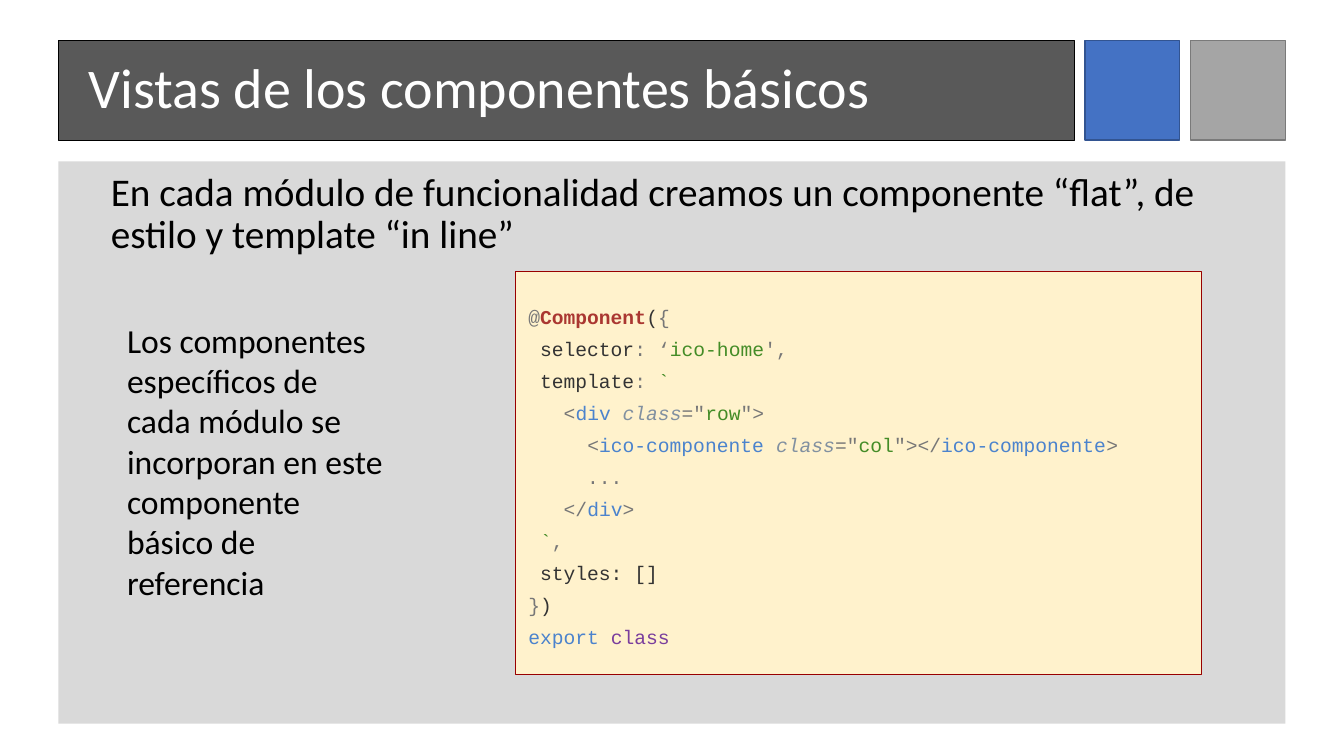
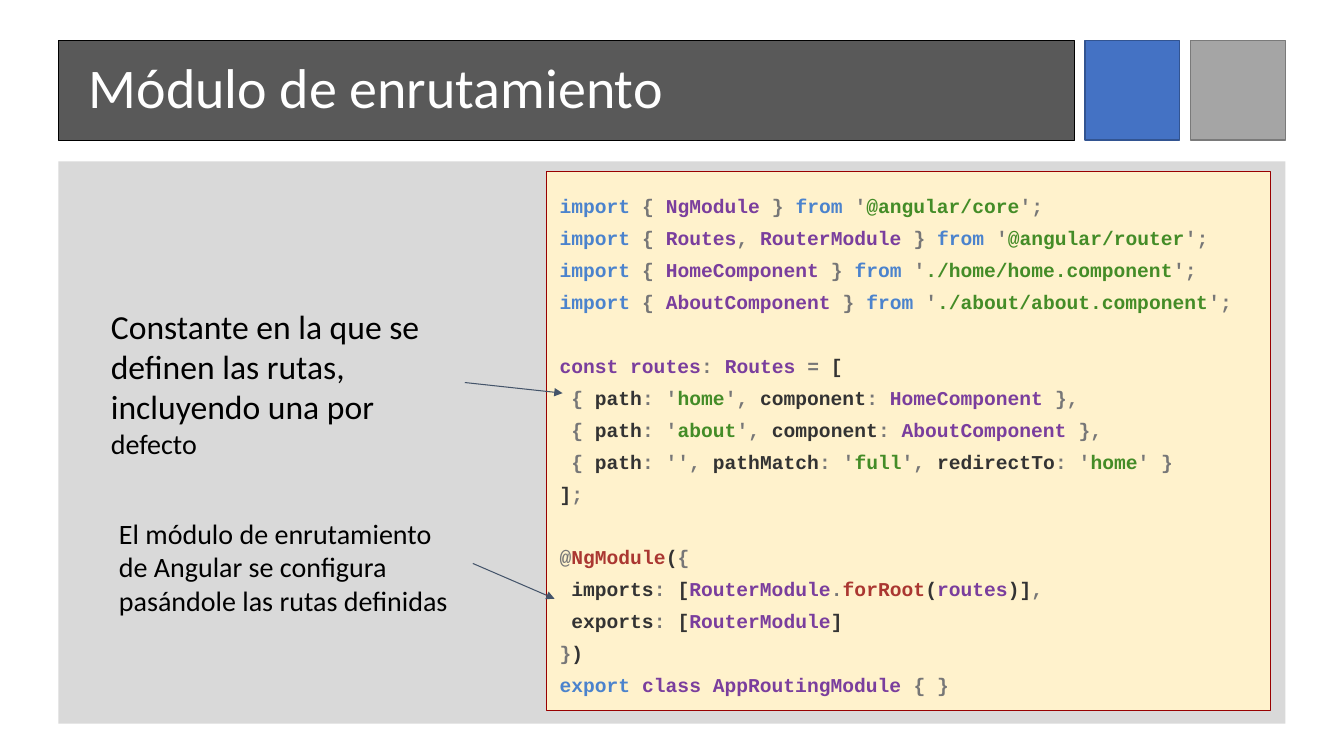
from pptx import Presentation
from pptx.dml.color import RGBColor
from pptx.enum.shapes import MSO_CONNECTOR as Connector, MSO_SHAPE as Shape
from pptx.enum.text import MSO_ANCHOR as Anchor, MSO_AUTO_SIZE as AutoSize, PP_ALIGN as Align
from pptx.oxml.ns import qn
from pptx.util import Inches, Pt
from lxml.etree import SubElement

BLACK = RGBColor(0x00, 0x00, 0x00)
WHITE = RGBColor(0xFF, 0xFF, 0xFF)
TITLE_GREY = RGBColor(0x59, 0x59, 0x59)
PANEL_GREY = RGBColor(0xD9, 0xD9, 0xD9)
ACCENT_BLUE = RGBColor(0x44, 0x72, 0xC4)
ACCENT_BLUE_EDGE = RGBColor(0x32, 0x54, 0x91)
ACCENT_GREY = RGBColor(0xA5, 0xA5, 0xA5)
ACCENT_GREY_EDGE = RGBColor(0x7A, 0x7A, 0x7A)
CODE_CREAM = RGBColor(0xFF, 0xF2, 0xCC)
CODE_EDGE = RGBColor(0x98, 0x00, 0x00)
ARROW_SLATE = RGBColor(0x44, 0x54, 0x6A)

PLAIN = RGBColor(0x33, 0x33, 0x33)
PUNCT = RGBColor(0x77, 0x77, 0x77)
KEYWORD = RGBColor(0x4B, 0x83, 0xCD)
TYPE = RGBColor(0x7A, 0x3E, 0x9D)
STRING = RGBColor(0x44, 0x8C, 0x27)
CALL = RGBColor(0xAA, 0x37, 0x31)
ATTRIBUTE = RGBColor(0x81, 0x90, 0xA0)

TEXT_FONT = "Calibri"
CODE_FONT = "Courier New"
CODE_LINE_GAP = Pt(22.6)


class Deck:
    """Hold the shared style and the slide being built."""

    def __init__(self):
        self.presentation = Presentation()
        self.presentation.slide_width = Inches(13.33)
        self.presentation.slide_height = Inches(7.5)
        self.slide = None

    def add_slide(self, heading):
        layout = self.presentation.slide_layouts[5]
        self.slide = self.presentation.slides.add_slide(layout)
        self.band(11.81, 0.4, 0.94, 0.99, ACCENT_GREY, ACCENT_GREY_EDGE)
        self.band(10.76, 0.4, 0.94, 0.99, ACCENT_BLUE, ACCENT_BLUE_EDGE)
        self.band(0.58, 1.6, 12.17, 5.58, PANEL_GREY)
        self.title(heading)

    def title(self, heading):
        title = self.slide.shapes.title
        title.left, title.top = Inches(0.58), Inches(0.4)
        title.width, title.height = Inches(10.08), Inches(0.99)
        self.paint(title, TITLE_GREY, BLACK, 0.5)
        frame = title.text_frame
        frame.auto_size = AutoSize.NONE
        frame.vertical_anchor = Anchor.MIDDLE
        paragraph = frame.paragraphs[0]
        paragraph.alignment = Align.LEFT
        paragraph.line_spacing = 0.9
        indent = paragraph._p.get_or_add_pPr()
        indent.set("marL", str(Inches(0.2)))
        indent.set("indent", "0")
        self.run(paragraph, heading, 40, WHITE)

    def paint(self, shape, fill, edge=None, weight=1):
        shape.fill.solid()
        shape.fill.fore_color.rgb = fill
        if edge is None:
            shape.line.fill.background()
        else:
            shape.line.color.rgb = edge
            shape.line.width = Pt(weight)

    def band(self, left, top, width, height, fill, edge=None, weight=1):
        band = self.slide.shapes.add_shape(
            Shape.RECTANGLE, Inches(left), Inches(top), Inches(width), Inches(height))
        band.shadow.inherit = False
        self.paint(band, fill, edge, weight)
        return band

    def run(self, paragraph, text, size, color, font=TEXT_FONT):
        run = paragraph.add_run()
        run.text = text
        run.font.name = font
        run.font.size = Pt(size)
        run.font.color.rgb = color
        return run

    def inset(self, frame, margin):
        frame.word_wrap = True
        frame.margin_left = frame.margin_right = Inches(margin)
        frame.margin_top = frame.margin_bottom = Inches(margin)

    def note(self, left, top, width, height, *pieces, margin=0.13, spacing=None):
        note = self.slide.shapes.add_textbox(
            Inches(left), Inches(top), Inches(width), Inches(height))
        self.inset(note.text_frame, margin)
        paragraph = note.text_frame.paragraphs[0]
        paragraph.line_spacing = spacing
        for text, size in pieces:
            self.run(paragraph, text, size, BLACK)
        return note

    def code(self, left, top, width, height, blocks, bold=False):
        listing = self.band(left, top, width, height, CODE_CREAM, CODE_EDGE, 0.75)
        frame = listing.text_frame
        self.inset(frame, 0.13)
        frame.vertical_anchor = Anchor.MIDDLE
        paragraph = None
        for block in blocks:
            for position, tokens in enumerate(block):
                if paragraph is None:
                    paragraph = frame.paragraphs[0]
                else:
                    paragraph = frame.add_paragraph()
                    if position == 0:
                        paragraph.space_before = CODE_LINE_GAP
                paragraph.alignment = Align.LEFT
                paragraph.line_spacing = 1.36
                for text, color in tokens:
                    run = self.run(paragraph, text, 14, color, CODE_FONT)
                    run.font.bold = bold or color == CALL
                    run.font.italic = color == ATTRIBUTE

    def arrow(self, note, end_x, end_y):
        arrow = self.slide.shapes.add_connector(
            Connector.STRAIGHT, note.left + note.width, note.top + note.height // 2,
            Inches(end_x), Inches(end_y))
        arrow.begin_connect(note, 3)
        arrow.line.color.rgb = ARROW_SLATE
        arrow.line.width = Pt(0.75)
        SubElement(arrow.line._get_or_add_ln(), qn("a:tailEnd"), type="triangle")
        SubElement(arrow._element.spPr, qn("a:effectLst"))


def open_tag(indent, tag, css_class):
    return [(indent, PLAIN), ("<", PUNCT), (tag + " ", KEYWORD), ("class", ATTRIBUTE),
            ('="', PUNCT), (css_class, STRING)]


def import_line(source, *names):
    tokens = [("import ", KEYWORD), ("{ ", PUNCT)]
    for name in names[:-1]:
        tokens += [(name, TYPE), (", ", PUNCT)]
    return tokens + [(names[-1] + " ", TYPE), ("} ", PUNCT), ("from ", KEYWORD),
                     ("'", PUNCT), (source, STRING), ("';", PUNCT)]


def route_line(route, component):
    return [(" {", PUNCT), (" path", PLAIN), (": '", PUNCT), (route, STRING), ("',", PUNCT),
            (" component", PLAIN), (": ", PUNCT), (component + " ", TYPE), ("},", PUNCT)]


def decorator_line(name):
    return [("@", PUNCT), (name, CALL), ("(", PLAIN), ("{", PUNCT)]


DECORATOR_END = [("}", PUNCT), (")", PLAIN)]

COMPONENT_CODE = [
    decorator_line("Component"),
    [(" selector", PLAIN), (": ‘", PUNCT), ("ico-home", STRING), ("',", PUNCT)],
    [(" template", PLAIN), (": ", PUNCT), ("`", STRING)],
    open_tag("   ", "div", "row") + [('">', PUNCT)],
    open_tag("     ", "ico-componente", "col")
    + [('"></', PUNCT), ("ico-componente", KEYWORD), (">", PUNCT)],
    [("     ...", PUNCT)],
    [("   </", PUNCT), ("div", KEYWORD), (">", PUNCT)],
    [(" `", STRING), (",", PUNCT)],
    [(" styles: []", PLAIN)],
    DECORATOR_END,
    [("export ", KEYWORD), ("class", TYPE)],
]

IMPORTS_CODE = [
    import_line("@angular/core", "NgModule"),
    import_line("@angular/router", "Routes", "RouterModule"),
    import_line("./home/home.component", "HomeComponent"),
    import_line("./about/about.component", "AboutComponent"),
]

ROUTES_CODE = [
    [("const routes", TYPE), (": ", PUNCT), ("Routes ", TYPE), ("=", PUNCT), (" [", PLAIN)],
    route_line("home", "HomeComponent"),
    route_line("about", "AboutComponent"),
    [(" {", PUNCT), (" path", PLAIN), (": '',", PUNCT), (" pathMatch", PLAIN),
     (": '", PUNCT), ("full", STRING), ("',", PUNCT), (" redirectTo", PLAIN),
     (": '", PUNCT), ("home", STRING), ("' }", PUNCT)],
    [("]", PLAIN), (";", PUNCT)],
]

MODULE_CODE = [
    decorator_line("NgModule"),
    [(" imports", PLAIN), (":", PUNCT), (" [", PLAIN), ("RouterModule", TYPE), (".", PUNCT),
     ("forRoot", CALL), ("(", PLAIN), ("routes", TYPE), (")]", PLAIN), (",", PUNCT)],
    [(" exports", PLAIN), (":", PUNCT), (" [", PLAIN), ("RouterModule", TYPE), ("]", PLAIN)],
    DECORATOR_END,
    [("export ", KEYWORD), ("class AppRoutingModule ", TYPE), ("{ }", PUNCT)],
]


def main():
    deck = Deck()

    deck.add_slide("Vistas de los componentes básicos")
    deck.note(1.03, 1.64, 11.43, 1.4,
              ("En cada módulo de funcionalidad creamos un componente “flat”, "
               "de estilo y template “in line”", 28), margin=0.07, spacing=0.9)
    deck.code(5.11, 2.69, 6.81, 4, [COMPONENT_CODE])
    deck.note(1.13, 3.04, 2.81, 1.88,
              ("Los componentes específicos de cada módulo se incorporan "
               "en este componente básico de referencia", 24))

    deck.add_slide("Módulo de enrutamiento")
    deck.code(5.42, 1.7, 7.18, 5.35, [IMPORTS_CODE, ROUTES_CODE, MODULE_CODE], bold=True)
    routes_note = deck.note(
        0.97, 2.9, 3.64, 1.79,
        ("Constante en la que se definen las rutas, incluyendo una por ", 24), ("defecto", 20))
    deck.arrow(routes_note, 5.58, 3.9)
    module_note = deck.note(
        1.05, 4.99, 3.64, 1.2,
        ("El módulo de enrutamiento de Angular se configura pasándole las rutas definidas", 20))
    deck.arrow(module_note, 5.5, 5.94)

    deck.presentation.save("out.pptx")


if __name__ == "__main__":
    main()
